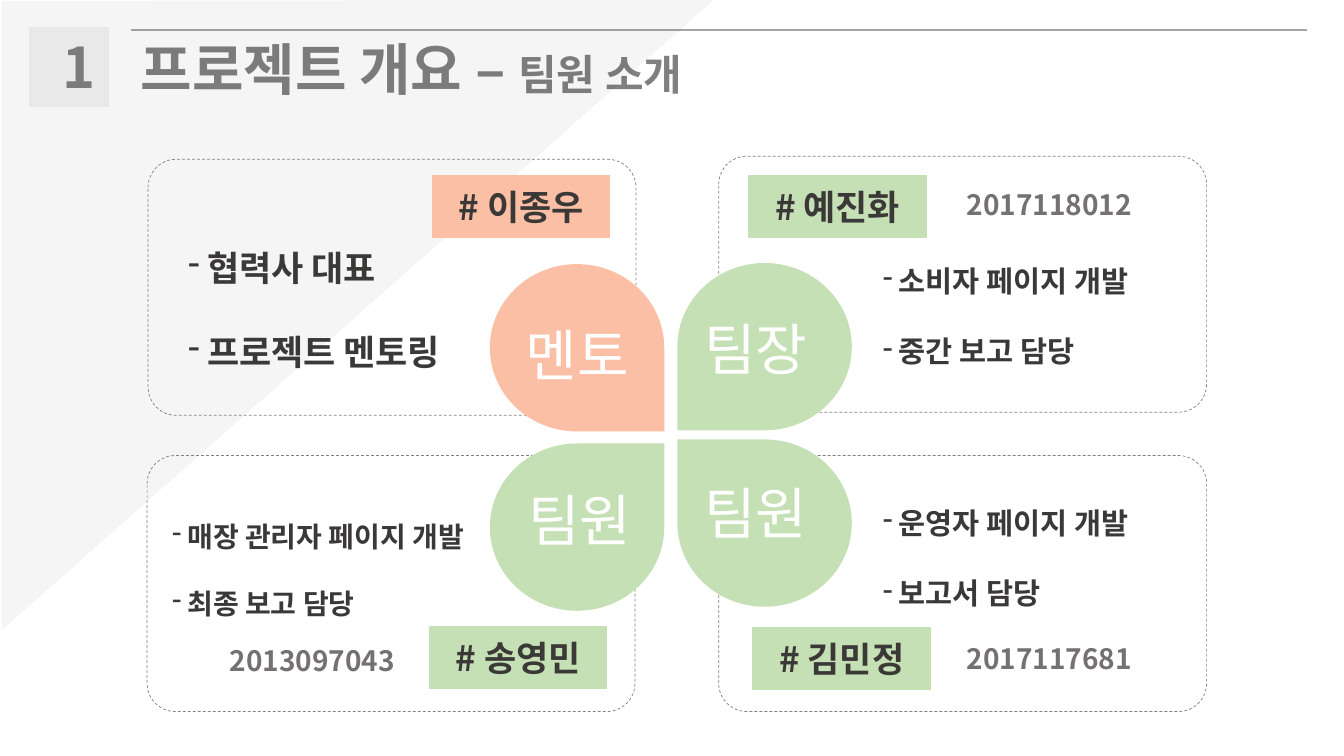
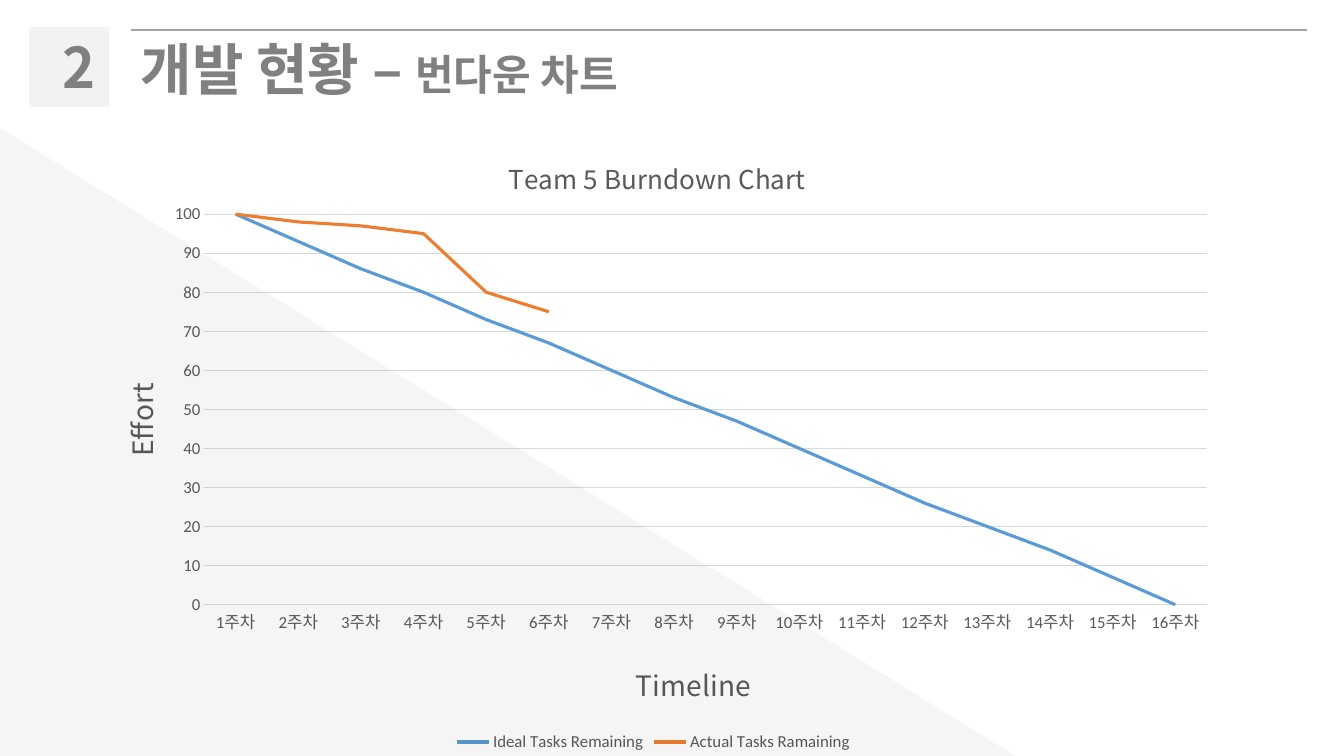
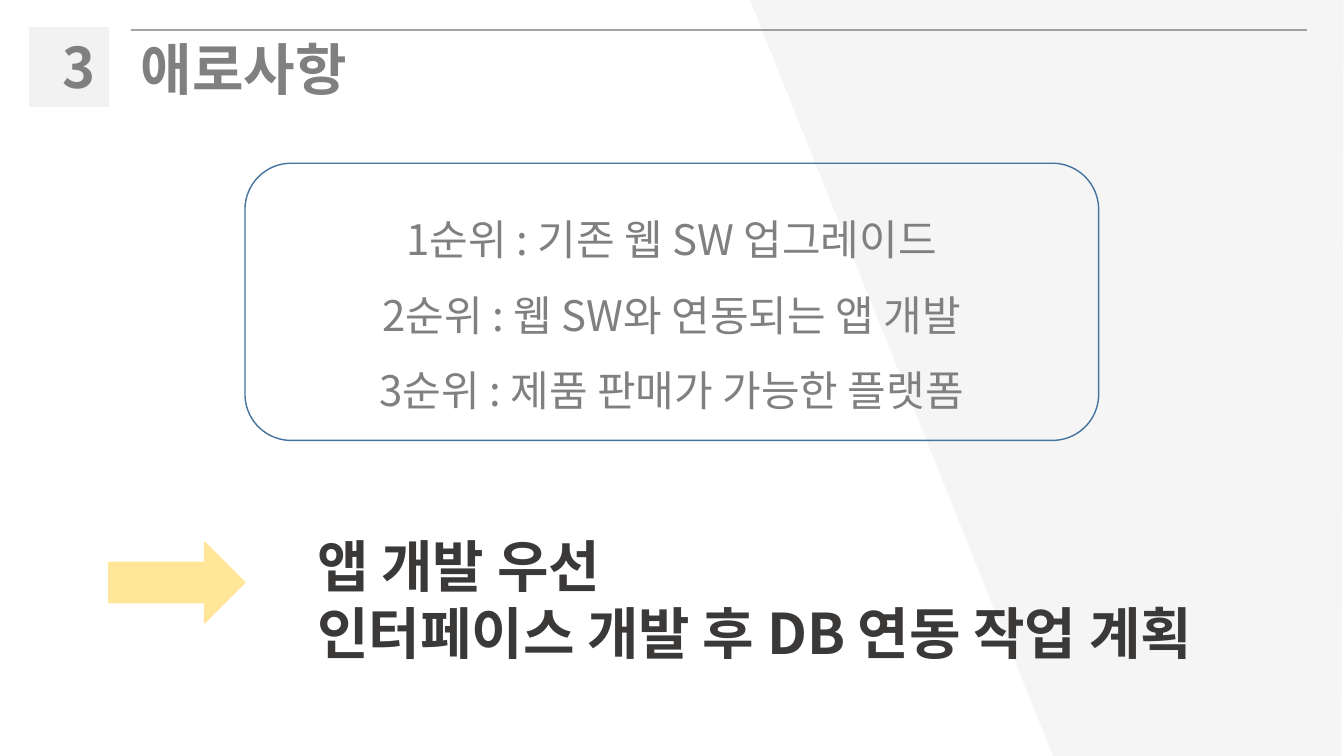
from dataclasses import dataclass

from lxml import etree
from pptx import Presentation
from pptx.chart.data import CategoryChartData
from pptx.dml.color import RGBColor
from pptx.enum.chart import XL_CHART_TYPE, XL_LEGEND_POSITION, XL_TICK_MARK
from pptx.enum.dml import MSO_LINE
from pptx.enum.shapes import MSO_CONNECTOR, MSO_SHAPE as Preset
from pptx.enum.text import PP_ALIGN
from pptx.oxml.ns import qn
from pptx.util import Pt

# Shared look
FONT, CHART_FONT = "Noto Sans CJK KR", "Calibri"
WHITE = RGBColor(0xFF, 0xFF, 0xFF)
INK = RGBColor(0x3B, 0x38, 0x38)
GRAY = RGBColor(0x80, 0x80, 0x80)
ID_GRAY = RGBColor(0x76, 0x71, 0x71)
RULE_GRAY = RGBColor(0xA5, 0xA5, 0xA5)
BADGE_GRAY = RGBColor(0xF2, 0xF2, 0xF2)
SHADE = RGBColor(0x18, 0x17, 0x17)
PEACH = RGBColor(0xFA, 0xBF, 0xA4)
GREEN = RGBColor(0xC5, 0xE0, 0xB4)
YELLOW = RGBColor(0xFF, 0xE6, 0x99)
FRAME_BLUE = RGBColor(0x43, 0x73, 0x9E)
CHART_TEXT = RGBColor(0x59, 0x59, 0x59)
GRID = RGBColor(0xD9, 0xD9, 0xD9)
IDEAL_BLUE = RGBColor(0x5B, 0x9B, 0xD5)
ACTUAL_ORANGE = RGBColor(0xED, 0x7D, 0x31)

CARD_SIZE = (348.5, 182.9)
LEAF_SIZE = (124.6, 119.5)
TAG_SIZE = (126.7, 43.9)


@dataclass
class Member:
    """One team card; offsets count from the card, the role's from the leaf."""
    role: str
    name: str
    duties: tuple
    duty_size: int
    color: RGBColor
    card: tuple
    leaf: tuple
    flips: tuple
    role_at: tuple
    tag: tuple
    duties_at: tuple
    student_id: str = ""
    id_at: tuple = ()


MEMBERS = [
    Member("멘토", "이종우", ("협력사 대표", "프로젝트 멘토링"), 25, PEACH,
           (105.8, 113.8), (244.1, 74.9), ("flipV",), (18.7, 36.7),
           (203, 11.5), (21.6, 28.8)),
    Member("팀장", "예진화", ("소비자 페이지 개발", "중간 보고 담당"), 21, GREEN,
           (513.4, 111.6), (-29.5, 76.3), ("flipH", "flipV"), (12.2, 33.1),
           (21.6, 13.7), (110.2, 47.5), "2017118012", (169.9, 18.7)),
    Member("팀원", "송영민", ("매장 관리자 페이지 개발", "최종 보고 담당"), 20, GREEN,
           (105.1, 325.4), (244.8, -8.6), (), (20.2, 26.6),
           (201.6, 122.4), (10.8, 18), "2013097043", (51.8, 131)),
    Member("팀원", "김민정", ("운영자 페이지 개발", "보고서 담당"), 21, GREEN,
           (513.4, 325.4), (-29.5, -11.5), ("flipH",), (12.2, 24.5),
           (24.5, 123.1), (110.2, 6.5), "2017117681", (169.9, 129.6)),
]


def points(*values):
    return [Pt(value) for value in values]


def offset(origin, delta):
    return origin[0] + delta[0], origin[1] + delta[1]


def style(font, size, color, bold=False, name=FONT):
    font.size, font.bold, font.name = Pt(size), bold, name
    font.color.rgb = color
    etree.SubElement(font._rPr, qn("a:ea"), typeface=name)


def write(frame, lines, size, color, bold=False, align=PP_ALIGN.LEFT,
          spacing=None, dashed=False):
    for index, line in enumerate(lines):
        paragraph = frame.paragraphs[0] if index == 0 else frame.add_paragraph()
        paragraph.text = line
        if dashed:
            props = paragraph._p.get_or_add_pPr()
            hang = Pt(round(size * 0.54, 1))
            props.set("marL", str(hang))
            props.set("indent", str(-hang))
            etree.SubElement(props, qn("a:buChar"), char="-")
        paragraph.alignment = align
        if spacing:
            paragraph.line_spacing = spacing
        style(paragraph.font, size, color, bold)


def add_text(slide, box, lines, size, color, wrap=True, **options):
    frame = slide.shapes.add_textbox(*points(*box)).text_frame
    frame.word_wrap = wrap
    write(frame, lines, size, color, **options)
    return frame


def add_preset(slide, preset, box, fill=None, line=None, width=1):
    shape = slide.shapes.add_shape(preset, *points(*box))
    shape.shadow.inherit = False
    if fill is None:
        shape.fill.background()
    else:
        shape.fill.solid()
        shape.fill.fore_color.rgb = fill
    if line is None:
        shape.line.fill.background()
    else:
        shape.line.color.rgb = line
        shape.line.width = Pt(width)
    return shape


def add_header(slide, number, title, subtitle=""):
    rule = slide.shapes.add_connector(
        MSO_CONNECTOR.STRAIGHT, *points(93.6, 21.6, 933.8, 21.6))
    rule.line.color.rgb = RULE_GRAY
    rule.line.width = Pt(1.5)
    etree.SubElement(rule._element.spPr, qn("a:effectLst"))

    add_preset(slide, Preset.RECTANGLE, (20.9, 19.4, 56.9, 56.9), BADGE_GRAY)
    add_text(slide, (37.4, 19.4, 20.2, 55.4), [number], 40, GRAY, bold=True,
             align=PP_ALIGN.CENTER)
    heading = add_text(slide, (93.6, 20.9, 420, 55.4), [title], 40, GRAY,
                       wrap=False, bold=True)
    if subtitle:
        detail = heading.paragraphs[0].add_run()
        detail.text = subtitle
        detail.font.size = Pt(30)


def add_backdrop(slide, corners):
    """Faint polygon behind or over the content."""
    vertices = [points(*corner) for corner in corners]
    builder = slide.shapes.build_freeform(*vertices[0])
    builder.add_line_segments(vertices[1:], close=True)
    backdrop = builder.convert_to_shape()
    backdrop.shadow.inherit = False
    backdrop.line.fill.background()
    backdrop.fill.solid()
    backdrop.fill.fore_color.rgb = SHADE
    color = backdrop._element.spPr.find(".//" + qn("a:srgbClr"))
    etree.SubElement(color, qn("a:alpha"), val="4000")


def add_member(slide, member):
    # Dashed card
    card = add_preset(slide, Preset.ROUNDED_RECTANGLE,
                      (*member.card, *CARD_SIZE), line=GRAY, width=0.5)
    card.adjustments[0] = 0.11
    card.line.dash_style = MSO_LINE.DASH

    # Leaf with the role
    leaf_at = offset(member.card, member.leaf)
    leaf = add_preset(slide, Preset.TEAR, (*leaf_at, *LEAF_SIZE), member.color)
    for flip in member.flips:
        leaf._element.spPr.find(qn("a:xfrm")).set(flip, "1")
    add_text(slide, (*offset(leaf_at, member.role_at), 104, 55.4),
             [member.role], 40, WHITE)

    # Name tag, duties and student number
    tag = add_preset(slide, Preset.RECTANGLE,
                     (*offset(member.card, member.tag), *TAG_SIZE),
                     member.color, member.color)
    write(tag.text_frame, [f"# {member.name}"], 25, INK, bold=True,
          align=PP_ALIGN.CENTER)
    add_text(slide, (*offset(member.card, member.duties_at), 236, 108),
             member.duties, member.duty_size, INK, bold=True, spacing=2.0,
             dashed=True)
    if member.student_id:
        add_text(slide, (*offset(member.card, member.id_at), 137.5, 31.7),
                 [member.student_id], 20, ID_GRAY, bold=True)


def place_in_chart(element, position, **fractions):
    """Fix a chart part at fractions of the chart's size."""
    for old in element.findall(qn("c:layout")):
        element.remove(old)
    layout = etree.Element(qn("c:layout"))
    manual = etree.SubElement(layout, qn("c:manualLayout"))
    if "w" in fractions:
        etree.SubElement(manual, qn("c:layoutTarget"), val="inner")
    for mode in ("xMode", "yMode"):
        etree.SubElement(manual, qn(f"c:{mode}"), val="edge")
    for key, value in fractions.items():
        etree.SubElement(manual, qn(f"c:{key}"), val=str(value))
    element.insert(position, layout)


def set_chart_title(title, text, size, x, y):
    write(title.text_frame, [text], size, CHART_TEXT)
    title.text_frame.paragraphs[0].alignment = None
    place_in_chart(title._element, 1, x=x, y=y)


def add_burndown(slide, box):
    data = CategoryChartData()
    data.categories = [f"{week}주차" for week in range(1, 17)]
    data.add_series("Ideal Tasks Remaining",
                    [100, 93, 86, 80, 73, 67, 60, 53,
                     47, 40, 33, 26, 20, 14, 7, 0])
    data.add_series("Actual Tasks Ramaining",
                    [100, 98, 97, 95, 80, 75] + [None] * 10)
    chart = slide.shapes.add_chart(XL_CHART_TYPE.LINE, *points(*box), data).chart
    chart.font.size, chart.font.name = Pt(12), CHART_FONT
    chart.font.color.rgb = CHART_TEXT

    # Lines
    plot = chart.plots[0]
    plot.vary_by_categories = False
    for series, color in zip(plot.series, (IDEAL_BLUE, ACTUAL_ORANGE)):
        series.smooth = False
        series.format.line.color.rgb = color
        series.format.line.width = Pt(2.25)

    # Axes
    weeks, effort = chart.category_axis, chart.value_axis
    for axis in (weeks, effort):
        axis.major_tick_mark = axis.minor_tick_mark = XL_TICK_MARK.NONE
    effort.minimum_scale, effort.maximum_scale, effort.major_unit = 0, 100, 10
    effort.format.line.fill.background()
    for line in (weeks.format.line, effort.major_gridlines.format.line):
        line.color.rgb = GRID
        line.width = Pt(0.75)

    # Titles, plot area and legend
    chart.has_title = True
    set_chart_title(chart.chart_title, "Team 5 Burndown Chart", 18.6, 0.37, 0.04)
    set_chart_title(weeks.axis_title, "Timeline", 20, 0.48, 0.84)
    set_chart_title(effort.axis_title, "Effort", 20, 0.03, 0.4)
    turned = effort.axis_title.text_frame._txBody.find(qn("a:bodyPr"))
    turned.set("rot", "-5400000")
    turned.set("vert", "horz")
    place_in_chart(chart._chartSpace.find(".//" + qn("c:plotArea")), 0,
                   x=0.11, y=0.14, w=0.87, h=0.62)
    chart.has_legend = True
    chart.legend.position = XL_LEGEND_POSITION.BOTTOM
    chart.legend.include_in_layout = False


def add_priorities(slide, box):
    frame = add_preset(slide, Preset.ROUNDED_RECTANGLE, box, line=FRAME_BLUE)
    write(frame.text_frame,
          ["1순위 : 기존 웹 SW 업그레이드",
           "2순위 : 웹 SW와 연동되는 앱 개발",
           "3순위 : 제품 판매가 가능한 플랫폼"],
          30, GRAY, align=PP_ALIGN.CENTER, spacing=1.5)


def add_conclusion(slide, left, top):
    add_preset(slide, Preset.RIGHT_ARROW, (left, top + 11.5, 97.2, 57.6),
               YELLOW, YELLOW)
    add_text(slide, (left + 141.8, top, 681.1, 104.4),
             ["앱 개발 우선", "인터페이스 개발 후 DB 연동 작업 계획"],
             40, INK, bold=True)


def build_team(slide):
    add_header(slide, "1", "프로젝트 개요 – ", "팀원 소개")
    add_backdrop(slide, [(1.4, 0.7), (1.4, 450), (509.8, 0)])
    for member in MEMBERS:
        add_member(slide, member)


def build_progress(slide):
    add_header(slide, "2", "개발 현황 – ", "번다운 차트")
    add_burndown(slide, (55.4, 90, 823, 450))
    add_backdrop(slide, [(0, 540), (0, 91.4), (726.5, 540.7)])


def build_issues(slide):
    add_header(slide, "3", "애로사항")
    add_backdrop(slide, [(958.3, 541.4), (959.8, 0), (535.7, 0), (752.4, 540.7)])
    add_conclusion(slide, 77.8, 375.8)
    add_priorities(slide, (175, 116.6, 609.8, 198))


def main():
    deck = Presentation()
    deck.slide_width, deck.slide_height = points(960, 540)
    for build in (build_team, build_progress, build_issues):
        build(deck.slides.add_slide(deck.slide_layouts[6]))
    deck.save("out.pptx")


if __name__ == "__main__":
    main()
